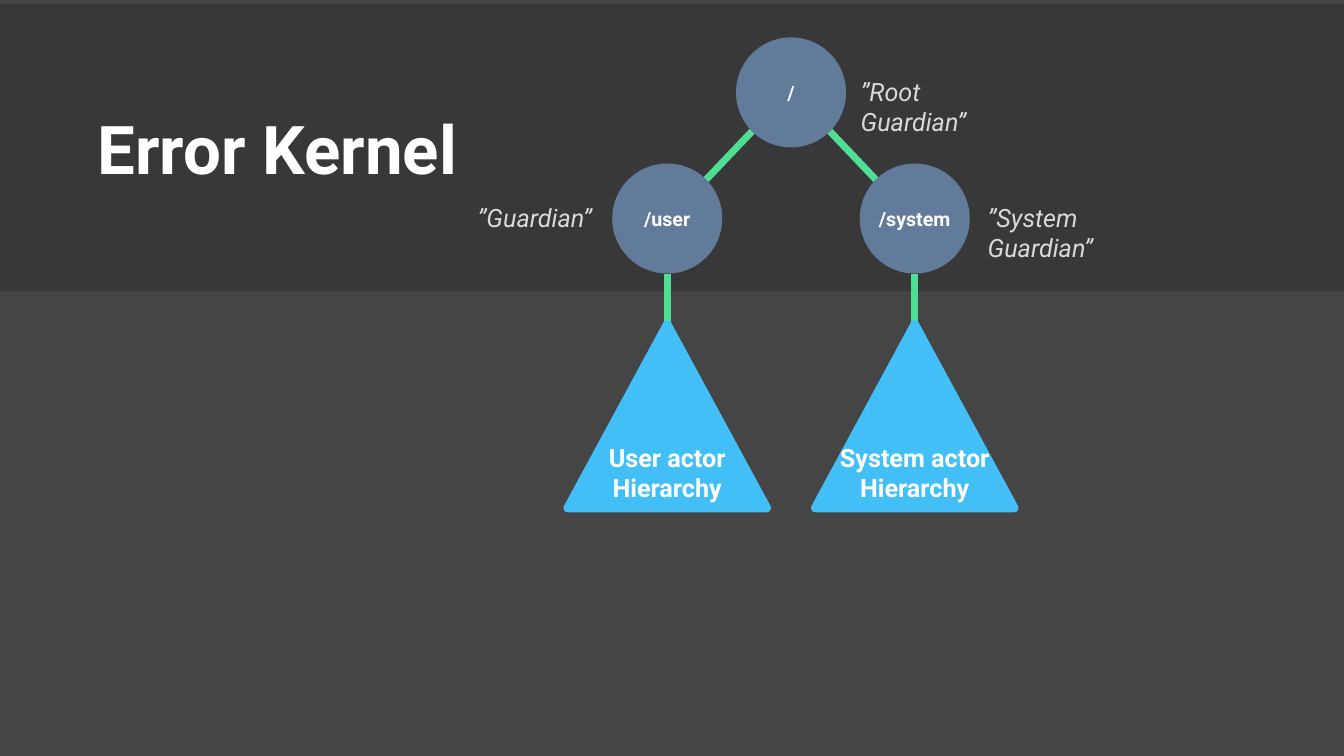
from lxml import etree
from pptx import Presentation
from pptx.dml.color import RGBColor
from pptx.enum import shapes as sh, text as tx
from pptx.oxml.ns import qn
from pptx.util import Pt

# Content: key -> (label, column, row)
TITLE = "Error Kernel"
NODES = {
    "root": ("/", 0, 0),
    "user": ("/user", -1, 1),
    "sys": ("/system", 1, 1),
}
TREES = {
    "user": ["User actor", "Hierarchy"],
    "sys": ["System actor", "Hierarchy"],
}
# Note, left, top, width
NOTES = [
    ("”System Guardian”", 698.4, 141.1, 150),
    ("”Guardian”", 334.1, 141.1, 100),
    ("”Root Guardian”", 607.7, 51.1, 133),
]

# Colours and font
BACK = RGBColor(0x45, 0x45, 0x45)
BAND = RGBColor(0x26, 0x26, 0x26)
GREEN = RGBColor(0x50, 0xDE, 0x94)
SLATE = RGBColor(0x63, 0x7B, 0x9B)
BLUE = RGBColor(0x43, 0xBF, 0xF7)
WHITE = RGBColor(0xFF, 0xFF, 0xFF)
PALE = RGBColor(0xD9, 0xD9, 0xD9)
FONT = "Roboto"

# Layout, in points
MID, STEP = 565, 88.4
TOP, DROP = 66, 90.1
RAD = 39.3
DIAG = RAD * 0.5 ** 0.5
TIP, WIDE, HIGH = 231.8, 142, 131

prs = Presentation()
prs.slide_width, prs.slide_height = Pt(960), Pt(540)
slide = prs.slides.add_slide(prs.slide_layouts[5])
slide.background.fill.solid()
slide.background.fill.fore_color.rgb = BACK


def center(key):
    _, col, row = NODES[key]
    return MID + col * STEP, TOP + row * DROP


def write(frame, lines, size, color, align, bold=False, italic=False):
    for i, line in enumerate(lines):
        para = frame.add_paragraph() if i else frame.paragraphs[0]
        para.alignment = align
        run = para.add_run()
        run.text = line
        font = run.font
        font.name, font.size = FONT, Pt(size)
        font.bold, font.italic = bold, italic
        font.color.rgb = color


def block(kind, left, top, width, height, color):
    part = slide.shapes.add_shape(
        kind, Pt(left), Pt(top), Pt(width), Pt(height))
    part.shadow.inherit = False
    part.fill.solid()
    part.fill.fore_color.rgb = color
    part.line.fill.background()
    return part


def link(x1, y1, x2, y2):
    line = slide.shapes.add_connector(
        sh.MSO_CONNECTOR.STRAIGHT, Pt(x1), Pt(y1), Pt(x2), Pt(y2))
    line.line.color.rgb = GREEN
    line.line.width = Pt(5)
    etree.SubElement(line._element.spPr, qn("a:effectLst"))


# Translucent band
band = block(sh.MSO_SHAPE.ROUNDED_RECTANGLE, 0, 2.9, 960, 205.2, BAND)
band.adjustments[0] = 0
tint = band._element.spPr.find(qn("a:solidFill"))[0]
etree.SubElement(tint, qn("a:alpha"), val="40000")

# Links: root to each guardian, guardian to its tree
root_x, root_y = center("root")
for key in TREES:
    x, y = center(key)
    shift = DIAG * NODES[key][1]
    link(root_x + shift, root_y + DIAG, x - shift, y - DIAG)
    link(x, y + RAD, x, TIP)

# Nodes
for key, (label, _, _) in NODES.items():
    x, y = center(key)
    node = block(sh.MSO_SHAPE.OVAL, x - RAD, y - RAD, 2 * RAD, 2 * RAD, SLATE)
    frame = node.text_frame
    frame.word_wrap = key != "sys"
    frame.vertical_anchor = tx.MSO_ANCHOR.MIDDLE
    write(frame, [label], 14, WHITE, tx.PP_ALIGN.CENTER, bold=True)

# Title, brought in front of the band
title = slide.shapes.title
title.left, title.top = Pt(62.6), Pt(72.7)
title.width, title.height = Pt(314), Pt(65.5)
title.text_frame.word_wrap = True
title.text_frame.vertical_anchor = tx.MSO_ANCHOR.TOP
write(title.text_frame, [TITLE], 48, WHITE, tx.PP_ALIGN.LEFT, bold=True)
slide.shapes._spTree.append(title._element)

# Actor trees with rounded corners
for key, lines in TREES.items():
    x, _ = center(key)
    tree = block(sh.MSO_SHAPE.ISOSCELES_TRIANGLE,
                 x - WIDE / 2, TIP, WIDE, HIGH, BLUE)
    tree.line.color.rgb = BLUE
    tree.line.width = Pt(6.25)
    etree.SubElement(tree.line._get_or_add_ln(), qn("a:round"))
    frame = tree.text_frame
    frame.word_wrap = False
    frame.vertical_anchor = tx.MSO_ANCHOR.BOTTOM
    write(frame, lines, 18, WHITE, tx.PP_ALIGN.CENTER, bold=True)

# Notes beside the nodes
for note, left, top, width in NOTES:
    box = slide.shapes.add_textbox(Pt(left), Pt(top), Pt(width), Pt(29))
    box.text_frame.word_wrap = True
    write(box.text_frame, [note], 18, PALE, tx.PP_ALIGN.LEFT, italic=True)

prs.save("out.pptx")
